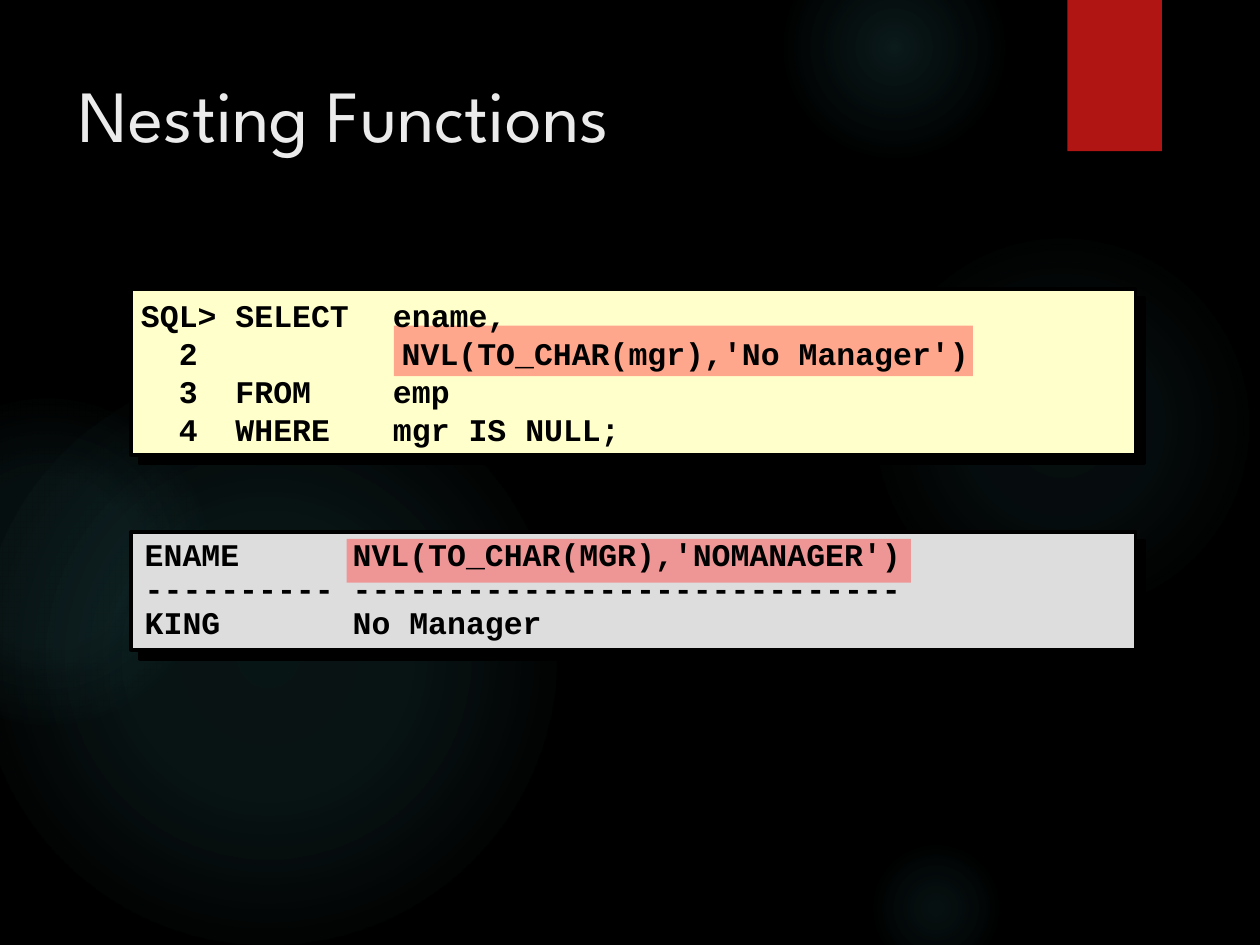
from lxml import etree
from pptx import Presentation
from pptx.dml.color import RGBColor
from pptx.enum.shapes import MSO_SHAPE as Shape
from pptx.enum.text import MSO_ANCHOR as Anchor
from pptx.oxml.ns import qn
from pptx.util import Pt

CODE_FONT = "Courier New"
GLOW_COLOUR = "50B9C1"
HIGHLIGHT = "FF5050"

# left, top, diameter, then (position, opacity) stops in percent
GLOWS = [
    (496, 132, 222, [(0, 7), (36, 6), (69, 0)]),
    (448, -36, 126, [(0, 14), (36, 7), (73, 0)]),
    (496, 480, 78, [(0, 9), (36, 5), (66, 0)]),
    (-12, 210, 330, [(0, 11), (36, 10), (75, 0)]),
    (-66, 228, 186, [(0, 8), (36, 8), (72, 0)]),
]
QUERY = [
    "SQL> SELECT\tename,",
    "  2\t     NVL(TO_CHAR(mgr),'No Manager')",
    "  3  FROM\temp",
    "  4  WHERE\tmgr IS NULL;",
]
RESULT = [
    "ENAME      NVL(TO_CHAR(MGR),'NOMANAGER')",
    "---------- -----------------------------",
    "KING       No Manager",
]


def rgb(value):
    return RGBColor.from_string(value)


def add_child(parent, tag, **attributes):
    child = etree.SubElement(parent, qn(tag))
    for name, value in attributes.items():
        child.set(name, str(value))
    return child


def add_colour(parent, colour, opacity):
    element = add_child(parent, "a:srgbClr", val=colour)
    add_child(element, "a:alpha", val=opacity * 1000)


def add_shape(slide, kind, left, top, width, height):
    shape = slide.shapes.add_shape(kind, Pt(left), Pt(top), Pt(width), Pt(height))
    shape.shadow.inherit = False
    shape.line.fill.background()
    return shape


def add_glow(slide, left, top, diameter, stops):
    shape = add_shape(slide, Shape.OVAL, left, top, diameter, diameter)
    shape.fill.gradient()
    gradient = shape._element.spPr.find(qn("a:gradFill"))
    for child in list(gradient):
        gradient.remove(child)
    stop_list = add_child(gradient, "a:gsLst")
    for position, opacity in stops:
        stop = add_child(stop_list, "a:gs", pos=position * 1000)
        add_colour(stop, GLOW_COLOUR, opacity)
    centre = add_child(gradient, "a:path", path="circle")
    add_child(centre, "a:fillToRect", l=50000, t=50000, r=50000, b=50000)


def add_rectangle(slide, left, top, width, height, colour, opacity=100):
    shape = add_shape(slide, Shape.RECTANGLE, left, top, width, height)
    shape.fill.solid()
    shape.fill.fore_color.rgb = rgb(colour)
    if opacity < 100:
        fill_colour = shape._element.spPr.find(qn("a:solidFill"))[0]
        add_child(fill_colour, "a:alpha", val=opacity * 1000)
    return shape


def add_shadow(shape, opacity, blur, distance, angle):
    effects = shape._element.spPr.find(qn("a:effectLst"))
    shadow = add_child(effects, "a:outerShdw", blurRad=Pt(blur), dist=Pt(distance),
                       dir=angle * 60000, algn="ctr", rotWithShape=0)
    add_colour(shadow, "000000", opacity)


def add_panel(slide, top, height, colour):
    panel = add_rectangle(slide, 75, top, 574, height, colour)
    panel.line.color.rgb = rgb("000000")
    panel.line.width = Pt(2)
    add_shadow(panel, 100, 0, 7.1, 45)


def add_text(slide, left, top, width, height, lines, font, size, colour,
             bold=False, anchor=Anchor.TOP, spacing=None, tabs=()):
    box = slide.shapes.add_textbox(Pt(left), Pt(top), Pt(width), Pt(height))
    frame = box.text_frame
    frame.word_wrap = True
    frame.vertical_anchor = anchor
    for index, line in enumerate(lines):
        paragraph = frame.add_paragraph() if index else frame.paragraphs[0]
        if spacing:
            paragraph.line_spacing = spacing
        if tabs:
            tab_list = add_child(paragraph._p.get_or_add_pPr(), "a:tabLst")
            for position in tabs:
                add_child(tab_list, "a:tab", pos=Pt(position), algn="l")
        run = paragraph.add_run()
        run.text = line
        run.font.name = font
        run.font.size = Pt(size)
        run.font.bold = bold
        run.font.color.rgb = rgb(colour)


def main():
    presentation = Presentation()
    presentation.slide_width = Pt(720)
    presentation.slide_height = Pt(540)
    slide = presentation.slides.add_slide(presentation.slide_layouts[6])

    # Background with soft glows and a red ribbon
    slide.background.fill.solid()
    slide.background.fill.fore_color.rgb = rgb("000000")
    for glow in GLOWS:
        add_glow(slide, *glow)
    ribbon = add_rectangle(slide, 610, 0, 54, 86.4, "B01513")
    add_shadow(ribbon, 45, 3, 2, 90)

    # Panels for the query and its result
    add_panel(slide, 165, 95, "FFFFCC")
    add_panel(slide, 304, 67.5, "DDDDDD")

    # Title
    add_text(slide, 38, 36, 556, 110, ["Nesting Functions"],
             "League Spartan", 42, "EBEBEB")

    # Highlights behind the nested calls
    add_rectangle(slide, 225, 186, 331, 29, HIGHLIGHT, opacity=50)
    add_rectangle(slide, 198, 308, 322.5, 25, HIGHLIGHT, opacity=50)

    # Query and result text
    add_text(slide, 73.5, 155, 576, 115, QUERY, CODE_FONT, 18, "000000",
             bold=True, anchor=Anchor.MIDDLE, tabs=(95, 144))
    add_text(slide, 75.6, 304.5, 572, 65.5, RESULT, CODE_FONT, 18, "000000",
             bold=True, spacing=0.9)

    presentation.save("out.pptx")


if __name__ == "__main__":
    main()
